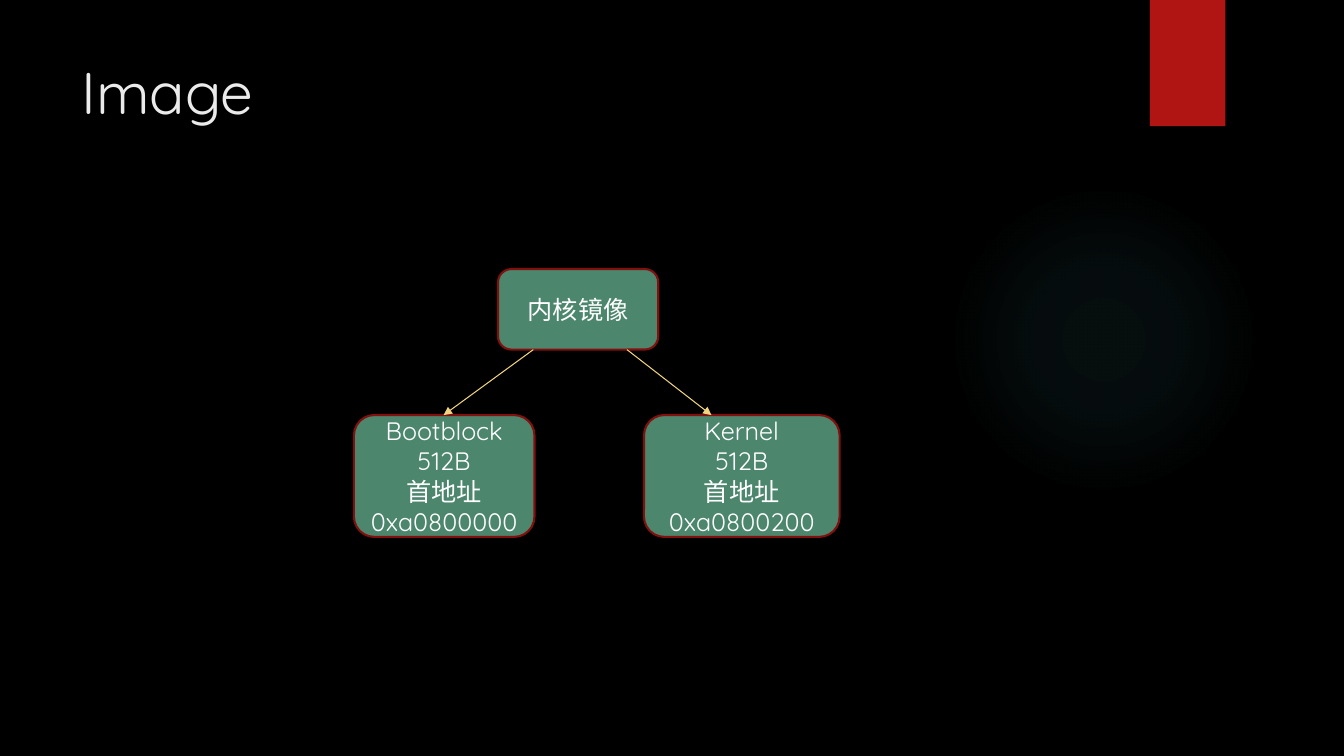
from lxml import etree
from pptx import Presentation
from pptx.dml.color import RGBColor
from pptx.enum.shapes import MSO_CONNECTOR, MSO_SHAPE
from pptx.enum.text import MSO_ANCHOR, PP_ALIGN
from pptx.oxml import parse_xml
from pptx.oxml.ns import nsdecls, qn
from pptx.util import Cm, Pt

FONT = "Quicksand"
COLORS = {
    "background": "000000",
    "title": "EBEBEB",
    "glow": "50B9C1",
    "ribbon": "B01513",
    "box": "4B866D",
    "border": "82100E",
    "text": "FFFFFF",
    "arrow": "F0D47F",
}
GLOW_STOPS = [(0, 7), (36, 6), (69, 0)]


def color(name):
    """Return the named palette colour."""
    return RGBColor.from_string(COLORS[name])


def style_text(tf, size, color_name, align):
    """Format every run of a text frame alike."""
    for p in tf.paragraphs:
        p.alignment = align
        for r in p.runs:
            r.font.name = FONT
            r.font.size = Pt(size)
            r.font.color.rgb = color(color_name)


def add_shape(slide, kind, left, top, width, height, fill):
    """Add a filled shape without line or shadow."""
    sp = slide.shapes.add_shape(kind, Cm(left), Cm(top), Cm(width), Cm(height))
    sp.shadow.inherit = False
    sp.fill.solid()
    sp.fill.fore_color.rgb = color(fill)
    sp.line.fill.background()
    return sp


def add_glow(slide, left, top, size):
    """Add a circle that fades out from its centre."""
    sp = add_shape(slide, MSO_SHAPE.OVAL, left, top, size, size, "glow")
    stops = "".join(
        f'<a:gs pos="{pos * 1000}"><a:srgbClr val="{COLORS["glow"]}">'
        f'<a:alpha val="{alpha * 1000}"/></a:srgbClr></a:gs>'
        for pos, alpha in GLOW_STOPS
    )
    grad = parse_xml(
        f'<a:gradFill {nsdecls("a")} rotWithShape="1"><a:gsLst>{stops}</a:gsLst>'
        '<a:path path="circle"><a:fillToRect l="50000" t="50000" r="50000" '
        'b="50000"/></a:path></a:gradFill>'
    )
    solid = sp.element.spPr.find(qn("a:solidFill"))
    solid.getparent().replace(solid, grad)


def add_ribbon(slide, left, top, width, height):
    """Add the red ribbon with a soft shadow below it."""
    sp = add_shape(slide, MSO_SHAPE.RECTANGLE, left, top, width, height, "ribbon")
    effects = sp.element.spPr.find(qn("a:effectLst"))
    effects.append(parse_xml(
        f'<a:outerShdw {nsdecls("a")} blurRad="38100" dist="25400" dir="5400000" '
        'rotWithShape="0"><a:srgbClr val="000000"><a:alpha val="45000"/>'
        '</a:srgbClr></a:outerShdw>'
    ))


def add_title(slide, text):
    """Place and format the title placeholder."""
    sp = slide.shapes.title
    sp.left, sp.top, sp.width, sp.height = Cm(1.8), Cm(1.27), Cm(26.14), Cm(3.89)
    tf = sp.text_frame
    tf.text = text
    tf.vertical_anchor = MSO_ANCHOR.TOP
    style_text(tf, 42, "title", PP_ALIGN.LEFT)


def add_box(slide, left, top, width, height, text):
    """Add a rounded box with centred text."""
    sp = add_shape(slide, MSO_SHAPE.ROUNDED_RECTANGLE, left, top, width, height, "box")
    sp.line.color.rgb = color("border")
    sp.line.width = Pt(1.5)
    tf = sp.text_frame
    tf.word_wrap = True
    tf.vertical_anchor = MSO_ANCHOR.MIDDLE
    tf.text = text
    style_text(tf, 18, "text", PP_ALIGN.CENTER)


def add_arrow(slide, x1, y1, x2, y2):
    """Add a thin arrow that points at its end."""
    cxn = slide.shapes.add_connector(
        MSO_CONNECTOR.STRAIGHT, Cm(x1), Cm(y1), Cm(x2), Cm(y2))
    cxn.line.color.rgb = color("arrow")
    cxn.line.width = Pt(0.75)
    spPr = cxn.element.spPr
    etree.SubElement(spPr.find(qn("a:ln")), qn("a:tailEnd"), type="triangle")
    etree.SubElement(spPr, qn("a:effectLst"))


def main():
    """Build the slide and save it."""
    prs = Presentation()
    prs.slide_width, prs.slide_height = Cm(33.87), Cm(19.05)
    slide = prs.slides.add_slide(prs.slide_layouts[5])
    slide.background.fill.solid()
    slide.background.fill.fore_color.rgb = color("background")

    add_glow(slide, 23.9, 4.65, 7.82)
    add_ribbon(slide, 28.98, 0, 1.9, 3.18)
    add_title(slide, "Image")

    parent_top, parent_height, child_top = 6.78, 2.03, 10.46
    parent_bottom = parent_top + parent_height
    add_box(slide, 8.92, child_top, 4.55, 3.07, "Bootblock\n512B\n首地址0xa0800000")
    add_box(slide, 16.23, child_top, 4.93, 3.07, "Kernel\n512B\n首地址\n0xa0800200")
    add_box(slide, 12.55, parent_top, 4.04, parent_height, "内核镜像")
    for start, end in [(13.44, 11.18), (15.8, 17.93)]:
        add_arrow(slide, start, parent_bottom, end, child_top)

    prs.save("out.pptx")


if __name__ == "__main__":
    main()
